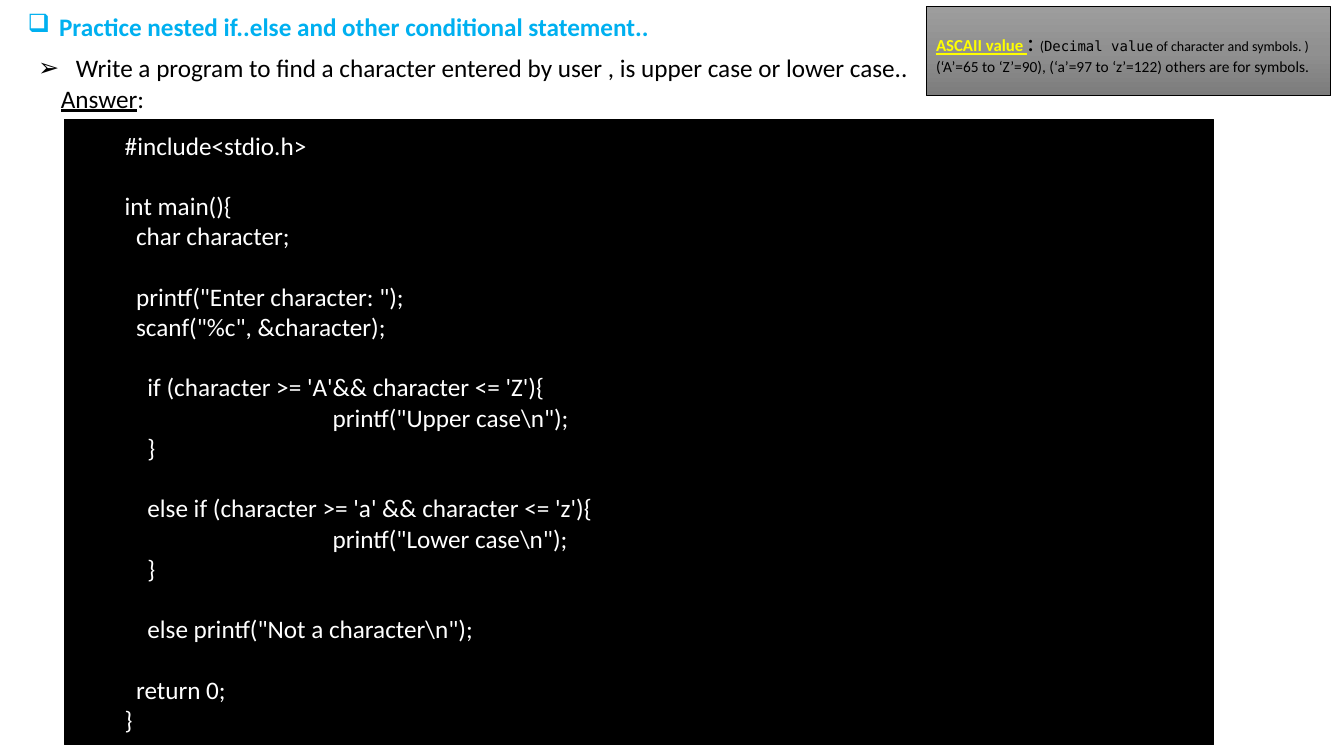
from copy import deepcopy

from pptx import Presentation
from pptx.dml.color import RGBColor
from pptx.enum.shapes import MSO_SHAPE
from pptx.enum.text import MSO_ANCHOR, MSO_AUTO_SIZE, PP_ALIGN
from pptx.oxml.ns import qn
from pptx.util import Pt

SKY = RGBColor(0x00, 0xB0, 0xF0)
YELLOW = RGBColor(0xFF, 0xFF, 0x00)
BLACK = RGBColor(0x00, 0x00, 0x00)
WHITE = RGBColor(0xFF, 0xFF, 0xFF)
NOTE_STOPS = [
    (0, RGBColor(0x9D, 0x9D, 0x9D)),
    (0.5, RGBColor(0x90, 0x90, 0x90)),
    (1, RGBColor(0x7C, 0x7C, 0x7C)),
]
SANS, MONO = "Calibri", "DejaVu Sans Mono"
LINE = 21.6  # height of one code line
STEP = 8.1  # one level of code indentation
BRANCH = 148.5  # indentation of a statement inside a branch

# (indentation, blank lines before, text)
CODE = [
    (0, 0, "#include<stdio.h>"),
    (0, 1, "int main(){"),
    (STEP, 0, "char character;"),
    (STEP, 1, 'printf("Enter character: ");'),
    (STEP, 0, 'scanf("%c", &character);'),
    (2 * STEP, 1, "if (character >= 'A'&& character <= 'Z'){"),
    (BRANCH, 0, r'printf("Upper case\n");'),
    (2 * STEP, 0, "}"),
    (2 * STEP, 1, "else if (character >= 'a' && character <= 'z'){"),
    (BRANCH, 0, r'printf("Lower case\n");'),
    (2 * STEP, 0, "}"),
    (2 * STEP, 1, r'else printf("Not a character\n");'),
    (STEP, 1, "return 0;"),
    (0, 0, "}"),
]


def add_text(paragraph, text, size=18, color=BLACK, font=SANS, bold=False, underline=False):
    run = paragraph.add_run()
    run.text = text
    run.font.size = Pt(size)
    run.font.name = font
    run.font.color.rgb = color
    run.font.bold = bold
    run.font.underline = underline


def next_paragraph(frame, left=0, hanging=0, before=0, bullet=None):
    """Return the empty first paragraph, or a new one, formatted."""
    first = frame.paragraphs[0]
    paragraph = frame.add_paragraph() if first.runs else first
    paragraph.alignment = PP_ALIGN.LEFT
    paragraph.space_before = Pt(before)
    props = paragraph._p.get_or_add_pPr()
    props.set("marL", str(Pt(left)))
    props.set("indent", str(-Pt(hanging)))
    if bullet:
        mark = props.makeelement(qn("a:buChar"), {"char": bullet})
    else:
        mark = props.makeelement(qn("a:buNone"), {})
    props.append(mark)
    return paragraph


def place(shape, box, anchor, wrap):
    """Set the box of a shape and return its text frame."""
    shape.left, shape.top, shape.width, shape.height = (Pt(v) for v in box)
    frame = shape.text_frame
    frame.auto_size = MSO_AUTO_SIZE.NONE
    frame.vertical_anchor = anchor
    frame.word_wrap = wrap
    return frame


def add_panel(slide, box, line_width):
    panel = slide.shapes.add_shape(MSO_SHAPE.RECTANGLE, *(Pt(v) for v in box))
    panel.shadow.inherit = False
    panel.line.color.rgb = BLACK
    panel.line.width = Pt(line_width)
    return panel, place(panel, box, MSO_ANCHOR.MIDDLE, True)


def fill_heading(slide, box):
    frame = place(slide.shapes.title, box, MSO_ANCHOR.TOP, False)
    heading = next_paragraph(frame, left=22.5, hanging=22.5, bullet="❑")
    add_text(heading, "Practice nested if..else and other conditional statement..",
             color=SKY, bold=True)


def fill_question(slide, box):
    frame = place(slide.placeholders[1], box, MSO_ANCHOR.TOP, False)
    question = next_paragraph(frame, left=27, hanging=27, bullet="➢")
    add_text(question, "Write a program to find a character entered by user , "
                       "is upper case or lower case..")
    answer = next_paragraph(frame, left=2 * STEP)
    add_text(answer, "Answer", underline=True)
    add_text(answer, ":")


def add_ascii_note(slide, box):
    note, frame = add_panel(slide, box, 0.5)
    # Three-stop grey gradient, running downwards
    note.fill.gradient()
    note.fill.gradient_angle = 270
    stops = note._element.spPr.find(".//" + qn("a:gsLst"))
    stops.insert(1, deepcopy(stops[0]))
    for stop, (position, grey) in zip(note.fill.gradient_stops, NOTE_STOPS):
        stop.position = position
        stop.color.rgb = grey

    meaning = next_paragraph(frame)
    add_text(meaning, "ASCAII value ", size=12, color=YELLOW, bold=True, underline=True)
    add_text(meaning, ": ")
    add_text(meaning, "(", size=10)
    add_text(meaning, "Decimal value", size=10, font=MONO)
    add_text(meaning, " of character and symbols. )", size=10)
    add_text(next_paragraph(frame),
             "(‘A’=65 to ‘Z’=90), (‘a’=97 to ‘z’=122) others are for symbols.", size=11)


def add_code(slide, box):
    panel, frame = add_panel(slide, box, 1)
    panel.fill.solid()
    panel.fill.fore_color.rgb = BLACK
    for indent, blank_lines, text in CODE:
        line = next_paragraph(frame, left=36 + indent, before=blank_lines * LINE)
        add_text(line, text, color=WHITE)


def main():
    deck = Presentation()
    deck.slide_width, deck.slide_height = Pt(960), Pt(540)
    slide = deck.slides.add_slide(deck.slide_layouts[1])
    fill_heading(slide, (12.5, 4.5, 462, 29))
    fill_question(slide, (20, 34, 644, 51))
    add_ascii_note(slide, (661.5, 4.5, 289, 64))
    add_code(slide, (46, 85.5, 821, 446.5))
    deck.save("out.pptx")


if __name__ == "__main__":
    main()
